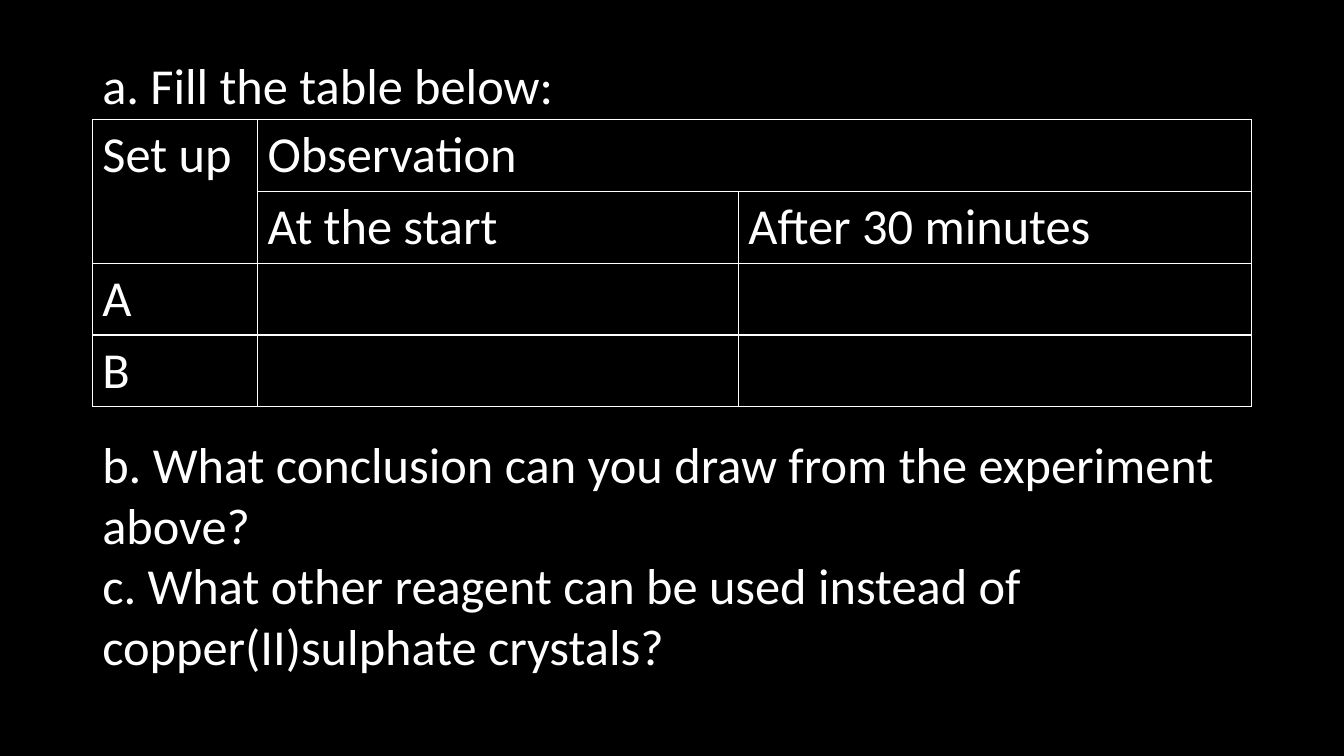
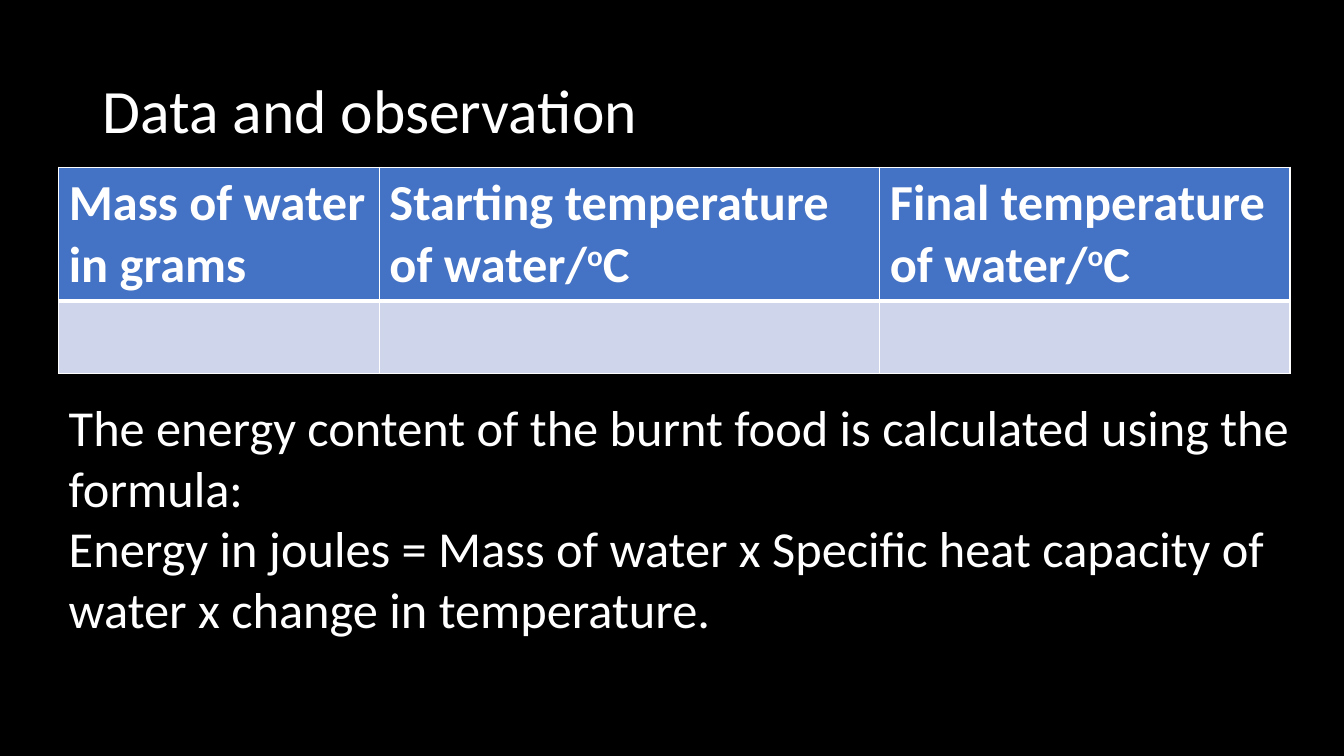
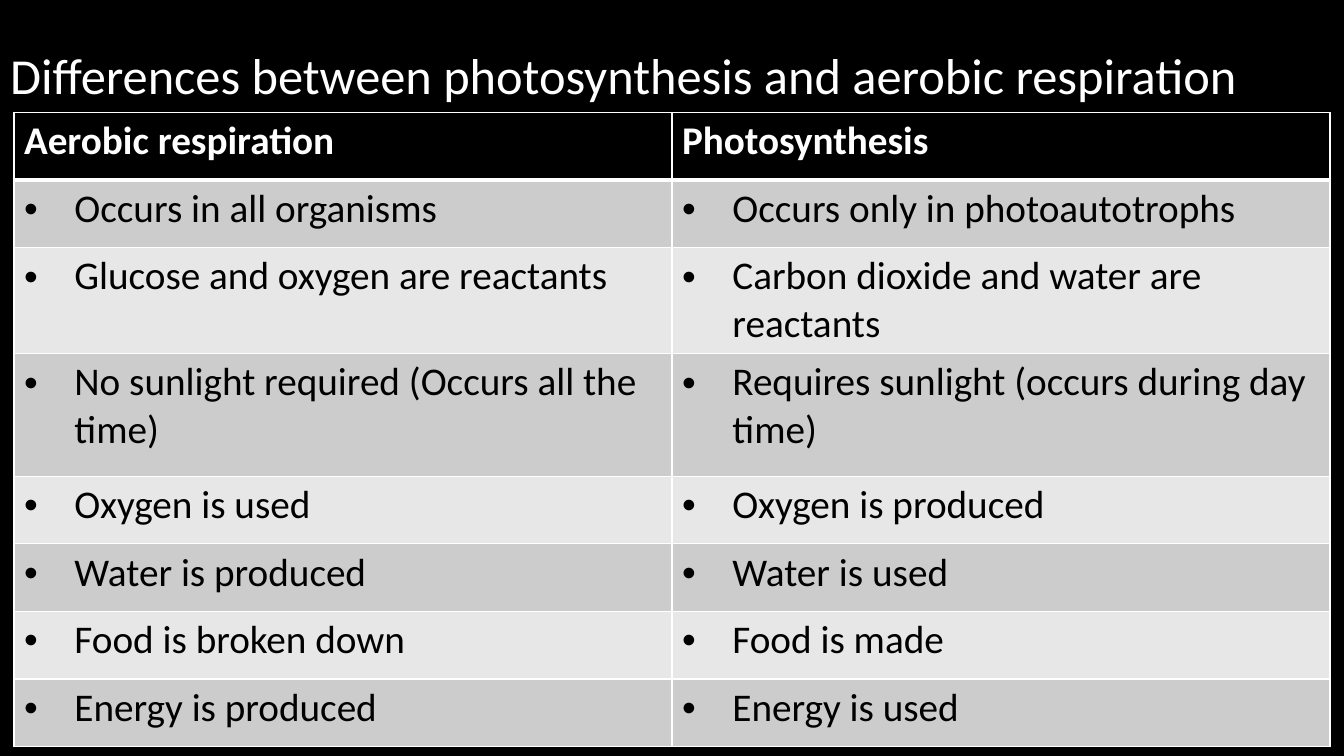
from lxml.etree import SubElement
from pptx import Presentation
from pptx.dml.color import RGBColor
from pptx.enum.text import MSO_ANCHOR, MSO_AUTO_SIZE, PP_ALIGN
from pptx.oxml import parse_xml
from pptx.oxml.ns import nsdecls, qn
from pptx.util import Pt

FONT = "Calibri"
BLACK = "000000"
WHITE = "FFFFFF"
BLUE = "4472C4"
PALE_BLUE = "CFD5EA"
GREY = "CCCCCC"
PALE_GREY = "E7E7E7"
TITLE_ONLY, BLANK = 5, 6
BODY_SIZE = 36
HEADER_RULE = 3


def paint(color_holder, color):
    color_holder.solid()
    color_holder.fore_color.rgb = RGBColor.from_string(color)


def write(para, text, size=BODY_SIZE, color=WHITE, bold=False):
    # Text between carets is raised.
    for index, piece in enumerate(text.split("^")):
        span = para.add_run()
        span.text = piece
        span.font.name = FONT
        span.font.size = Pt(size)
        span.font.bold = bold
        span.font.color.rgb = RGBColor.from_string(color)
        if index % 2:
            span._r.get_or_add_rPr().set("baseline", "30000")


def add_title(page, text, left, top, width, size):
    title = page.shapes.title
    title.left, title.top = Pt(left), Pt(top)
    title.width, title.height = Pt(width), Pt(104.4)
    frame = title.text_frame
    frame.auto_size = MSO_AUTO_SIZE.NONE
    frame.vertical_anchor = MSO_ANCHOR.MIDDLE
    para = frame.paragraphs[0]
    para.alignment = PP_ALIGN.LEFT
    para.line_spacing = 0.9
    write(para, text, size)


def add_text(page, lines, left, top, width, height):
    box = page.shapes.add_textbox(Pt(left), Pt(top), Pt(width), Pt(height))
    frame = box.text_frame
    frame.word_wrap = True
    frame.auto_size = MSO_AUTO_SIZE.SHAPE_TO_FIT_TEXT
    for index, line in enumerate(lines):
        para = frame.add_paragraph() if index else frame.paragraphs[0]
        write(para, line)


def set_borders(cell, bottom=1):
    properties = cell._tc.get_or_add_tcPr()
    widths = {"lnL": 1, "lnR": 1, "lnT": 1, "lnB": bottom}
    for index, (side, width) in enumerate(widths.items()):
        properties.insert(index, parse_xml(
            f'<a:{side} {nsdecls("a")} w="{Pt(width)}"><a:solidFill>'
            f'<a:srgbClr val="{WHITE}"/></a:solidFill></a:{side}>'))


def add_bullet(para):
    properties = para._p.get_or_add_pPr()
    properties.set("marL", str(Pt(36)))
    properties.set("indent", str(Pt(-36)))
    SubElement(properties, qn("a:buFont"), typeface="Arial")
    SubElement(properties, qn("a:buChar"), char="•")


def add_grid(page, left, top, widths, heights):
    frame = page.shapes.add_table(len(heights), len(widths), Pt(left), Pt(top),
                                  Pt(sum(widths)), Pt(sum(heights)))
    table = frame.table
    table.first_row = table.horz_banding = False
    for column, width in zip(table.columns, widths):
        column.width = Pt(width)
    for row, height in zip(table.rows, heights):
        row.height = Pt(height)
    return table


def fill_row(table, row, texts, fill=None, bottom=1, bullet=False, **style):
    for column, text in enumerate(texts):
        cell = table.cell(row, column)
        if fill:
            paint(cell.fill, fill)
        else:
            cell.fill.background()
        set_borders(cell, bottom)
        para = cell.text_frame.paragraphs[0]
        if bullet:
            add_bullet(para)
        if text:
            write(para, text, **style)


def add_questions_page(deck):
    page = deck.slides.add_slide(deck.slide_layouts[BLANK])
    table = add_grid(page, 66, 85.5, [118, 343.5, 366.5], [51.2] * 4)
    rows = [
        ["Set up", "Observation", ""],
        ["", "At the start", "After 30 minutes"],
        ["A", "", ""],
        ["B", "", ""],
    ]
    for row, texts in enumerate(rows):
        fill_row(table, row, texts)
    table.cell(0, 0).merge(table.cell(1, 0))
    table.cell(0, 1).merge(table.cell(0, 2))
    add_text(page, ["a. Fill the table below:"], 66, 35.2, 448, 51)
    add_text(page, [
        "b. What conclusion can you draw from the experiment above?",
        "c. What other reagent can be used instead of copper(II)sulphate crystals?",
    ], 66, 306, 828, 181.5)


def add_data_page(deck):
    page = deck.slides.add_slide(deck.slide_layouts[TITLE_ONLY])
    add_title(page, "Data and observation", 66, 28.8, 828, 44)
    table = add_grid(page, 42, 119.5, [229, 357.5, 293], [94.5, 52])
    headings = ["Mass of water in grams", "Starting temperature of water/^o^C",
                "Final temperature of water/^o^C"]
    fill_row(table, 0, headings, BLUE, HEADER_RULE, bold=True)
    fill_row(table, 1, [""] * 3, PALE_BLUE)
    add_text(page, [
        "The energy content of the burnt food is calculated using the formula:",
        "Energy in joules = Mass of water x Specific heat capacity of water"
        " x change in temperature.",
    ], 42, 279.5, 896.5, 181.5)


def add_differences_page(deck):
    page = deck.slides.add_slide(deck.slide_layouts[TITLE_ONLY])
    add_title(page, "Differences between photosynthesis and aerobic respiration",
              0, 3.6, 960, 36)
    heights = [48.3] * 2 + [75.7, 87.7] + [48.3] * 4
    table = add_grid(page, 10, 80.3, [470, 470], heights)
    fill_row(table, 0, ["Aerobic respiration", "Photosynthesis"], BLACK,
             HEADER_RULE, size=28, bold=True)
    differences = [
        ("Occurs in all organisms", "Occurs only in photoautotrophs"),
        ("Glucose and oxygen are reactants",
         "Carbon dioxide and water are reactants"),
        ("No sunlight required (Occurs all the time)",
         "Requires sunlight (occurs during day time)"),
        ("Oxygen is used", "Oxygen is produced"),
        ("Water is produced", "Water is used"),
        ("Food is broken down", "Food is made"),
        ("Energy is produced", "Energy is used"),
    ]
    for row, texts in enumerate(differences, start=1):
        fill_row(table, row, texts, GREY if row % 2 else PALE_GREY,
                 bullet=True, size=28, color=BLACK)


def main():
    deck = Presentation()
    deck.slide_width, deck.slide_height = Pt(960), Pt(540)
    paint(deck.slide_master.background.fill, BLACK)
    add_questions_page(deck)
    add_data_page(deck)
    add_differences_page(deck)
    deck.save("out.pptx")


if __name__ == "__main__":
    main()
